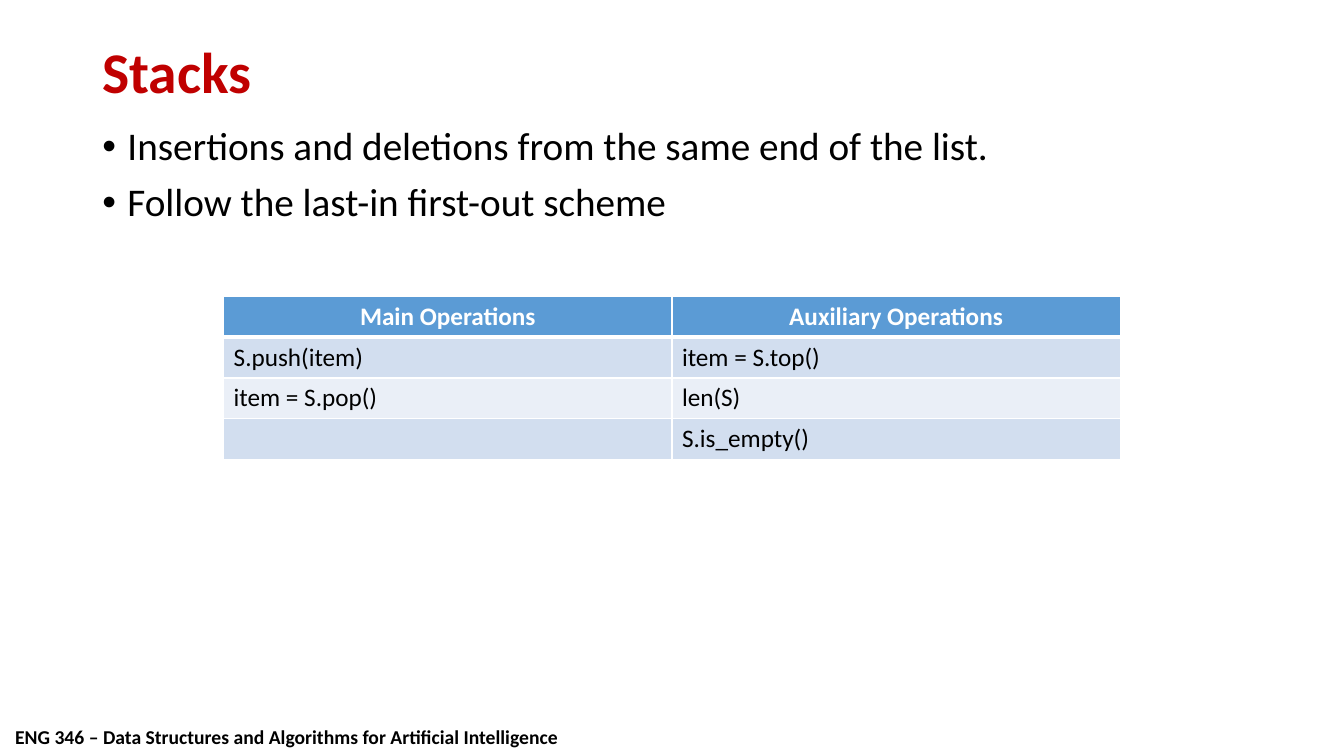
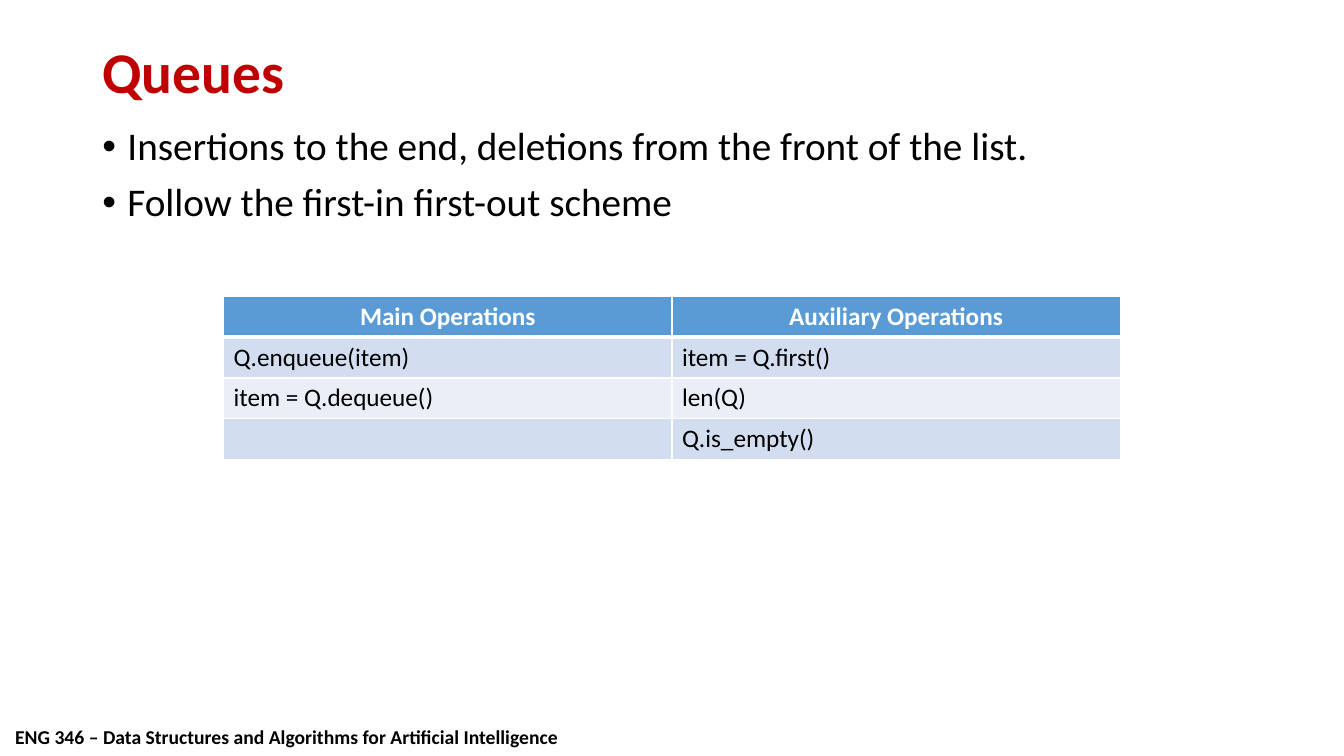
from dataclasses import dataclass

from lxml import etree
from pptx import Presentation
from pptx.dml.color import RGBColor
from pptx.enum.text import MSO_ANCHOR, PP_ALIGN
from pptx.oxml.ns import qn
from pptx.slide import Slide
from pptx.table import _Cell
from pptx.text.text import TextFrame, _Paragraph
from pptx.util import Emu, Pt

SCALE = 9525
FONT = "Calibri"
BLACK = RGBColor(0x00, 0x00, 0x00)
WHITE = RGBColor(0xFF, 0xFF, 0xFF)
RED = RGBColor(0xC0, 0x00, 0x00)
BLUE = RGBColor(0x5B, 0x9B, 0xD5)
BANDS = (RGBColor(0xD2, 0xDE, 0xEF), RGBColor(0xEA, 0xEF, 0xF7))
LEFT, CENTER = PP_ALIGN.LEFT, PP_ALIGN.CENTER
TOP, MIDDLE = MSO_ANCHOR.TOP, MSO_ANCHOR.MIDDLE

COURSE = "ENG 346 – Data Structures and Algorithms for Artificial Intelligence"
HEADS = ("Main Operations", "Auxiliary Operations")
COL, ROW = 427, 39
INDENT = 24
THIN, THICK = 0.96, 3


@dataclass(frozen=True)
class Box:
    left: int
    top: int
    width: int
    height: int


@dataclass(frozen=True)
class Style:
    size: float
    color: RGBColor
    bold: bool = False


@dataclass(frozen=True)
class Topic:
    title: str
    points: tuple[str, ...]
    rows: tuple[tuple[str, str], ...]


FOOT_BOX = Box(5, 686, 540, 32)
TITLE_BOX = Box(88, 38, 1104, 67)
BODY_BOX = Box(88, 116, 1104, 121)
GRID_LEFT, GRID_TOP = 213, 282

FOOT = Style(14, BLACK, True)
TITLE = Style(41.1, RED, True)
BODY = Style(28, BLACK)
HEAD = Style(18, WHITE, True)
CELL = Style(18, BLACK)

TOPICS = (
    Topic(
        "Stacks",
        ("Insertions and deletions from the same end of the list.",
         "Follow the last-in first-out scheme"),
        (("S.push(item)", "item = S.top()"),
         ("item = S.pop()", "len(S)"),
         ("", "S.is_empty()")),
    ),
    Topic(
        "Queues",
        ("Insertions to the end, deletions from the front of the list.",
         "Follow the first-in first-out scheme"),
        (("Q.enqueue(item)", "item = Q.first()"),
         ("item = Q.dequeue()", "len(Q)"),
         ("", "Q.is_empty()")),
    ),
)


def px(count: int) -> Emu:
    return Emu(count * SCALE)


def write(para: _Paragraph, text: str, style: Style) -> None:
    run = para.add_run()
    run.text = text
    values = {"name": FONT, "size": Pt(style.size), "bold": style.bold}
    for name, value in values.items():
        setattr(run.font, name, value)
    run.font.color.rgb = style.color


def add_box(slide: Slide, box: Box, anchor: MSO_ANCHOR = TOP,
            wrap: bool = True) -> TextFrame:
    shape = slide.shapes.add_textbox(
        px(box.left), px(box.top), px(box.width), px(box.height))
    frame = shape.text_frame
    frame.word_wrap = wrap
    frame.vertical_anchor = anchor
    return frame


def add_bullet(para: _Paragraph) -> None:
    props = para._p.get_or_add_pPr()
    props.set("marL", str(px(INDENT)))
    props.set("indent", str(-px(INDENT)))
    etree.SubElement(props, qn("a:buFont"), typeface="Arial")
    etree.SubElement(props, qn("a:buChar"), char="•")


def add_body(slide: Slide, points: tuple[str, ...]) -> None:
    frame = add_box(slide, BODY_BOX)
    for index, point in enumerate(points):
        para = frame.add_paragraph() if index else frame.paragraphs[0]
        add_bullet(para)
        para.line_spacing = 0.9
        if index:
            para.space_before = Pt(10)
        write(para, point, BODY)


def set_edges(cell: _Cell, top: float, bottom: float) -> None:
    props = cell._tc.get_or_add_tcPr()
    edges = {"lnL": THIN, "lnR": THIN, "lnT": top, "lnB": bottom}
    for tag, width in edges.items():
        line = etree.SubElement(props, qn(f"a:{tag}"), w=str(Pt(width)))
        fill = etree.SubElement(line, qn("a:solidFill"))
        etree.SubElement(fill, qn("a:srgbClr"), val=str(WHITE))


def add_grid(slide: Slide, rows: tuple[tuple[str, str], ...]) -> None:
    lines = (HEADS, *rows)
    table = slide.shapes.add_table(
        len(lines), len(HEADS), px(GRID_LEFT), px(GRID_TOP),
        px(COL * len(HEADS)), px(ROW * len(lines))).table
    for r, line in enumerate(lines):
        is_head = r == 0
        for c, text in enumerate(line):
            cell = table.cell(r, c)
            set_edges(cell, THICK if r == 1 else THIN,
                      THICK if is_head else THIN)
            cell.fill.solid()
            cell.fill.fore_color.rgb = BLUE if is_head else BANDS[(r - 1) % 2]
            para = cell.text_frame.paragraphs[0]
            para.alignment = CENTER if is_head else LEFT
            if text:
                write(para, text, HEAD if is_head else CELL)


def add_frame(slide: Slide, title: str) -> None:
    """Draw the footer and title that every slide has."""
    foot = add_box(slide, FOOT_BOX, wrap=False)
    write(foot.paragraphs[0], COURSE, FOOT)
    para = add_box(slide, TITLE_BOX, MIDDLE).paragraphs[0]
    para.line_spacing = 0.9
    write(para, title, TITLE)


def main() -> None:
    deck = Presentation()
    deck.slide_width, deck.slide_height = px(1280), px(720)
    blank = deck.slide_layouts[6]
    for topic in TOPICS:
        slide = deck.slides.add_slide(blank)
        add_frame(slide, topic.title)
        add_body(slide, topic.points)
        add_grid(slide, topic.rows)
    deck.save("out.pptx")


if __name__ == "__main__":
    main()
